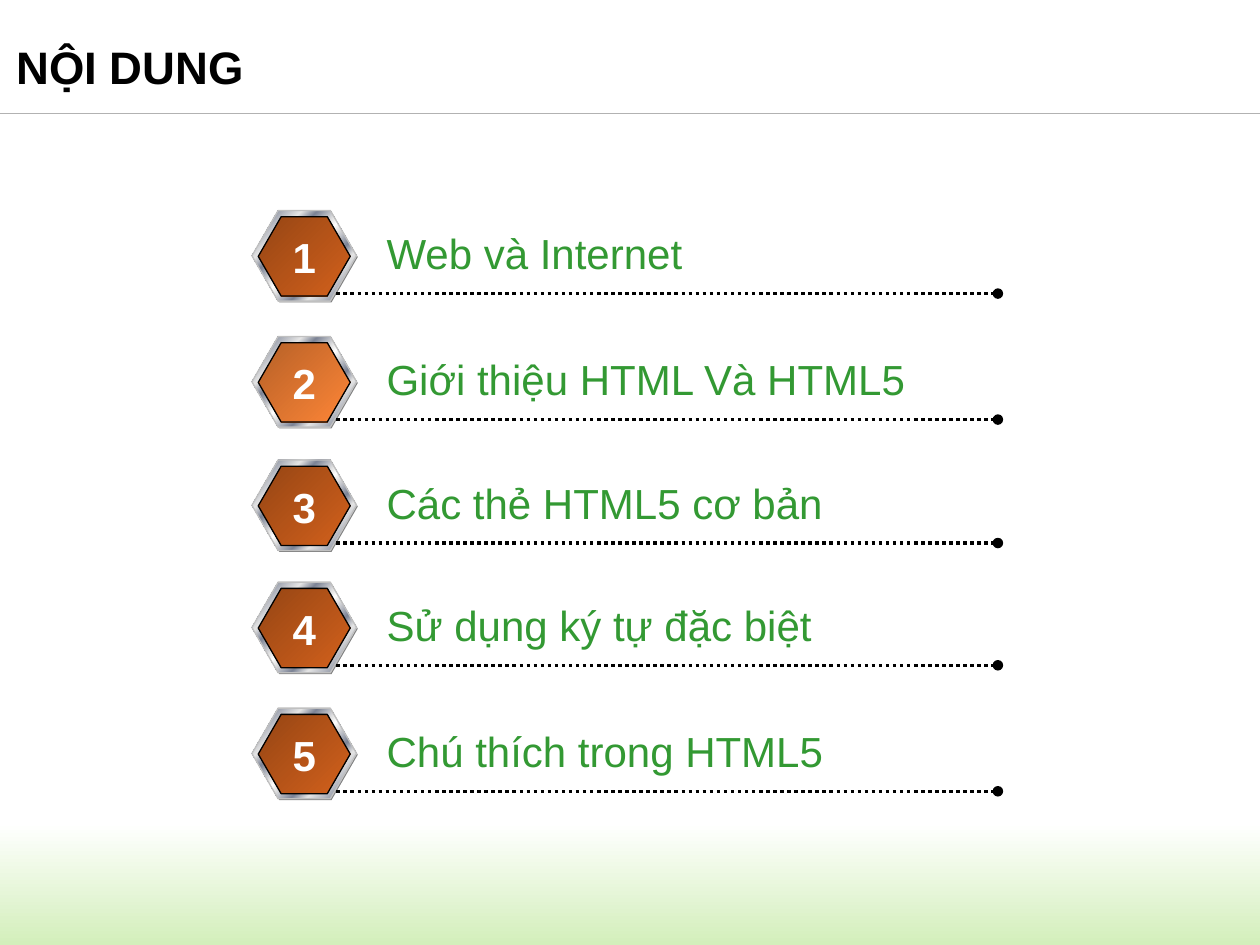
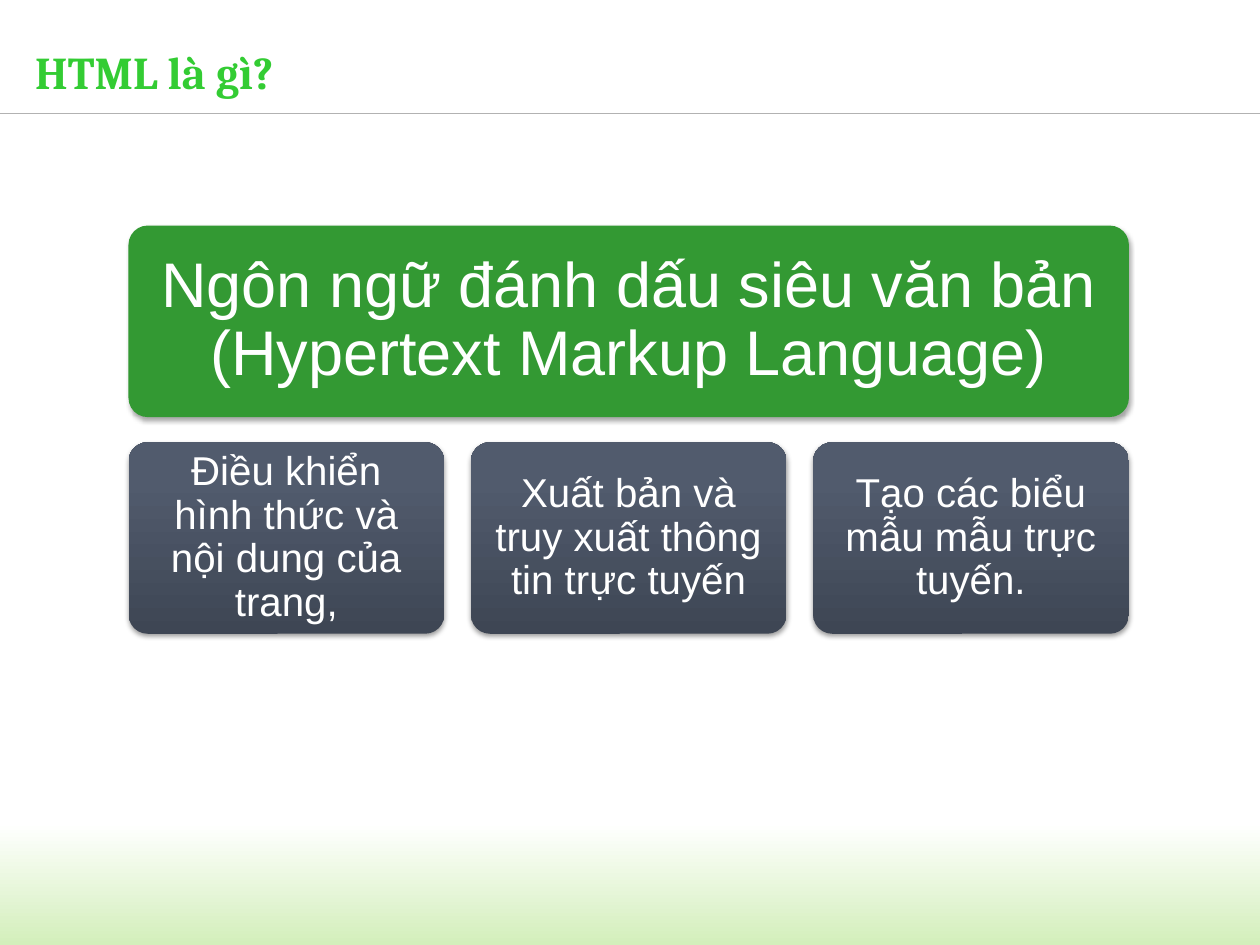
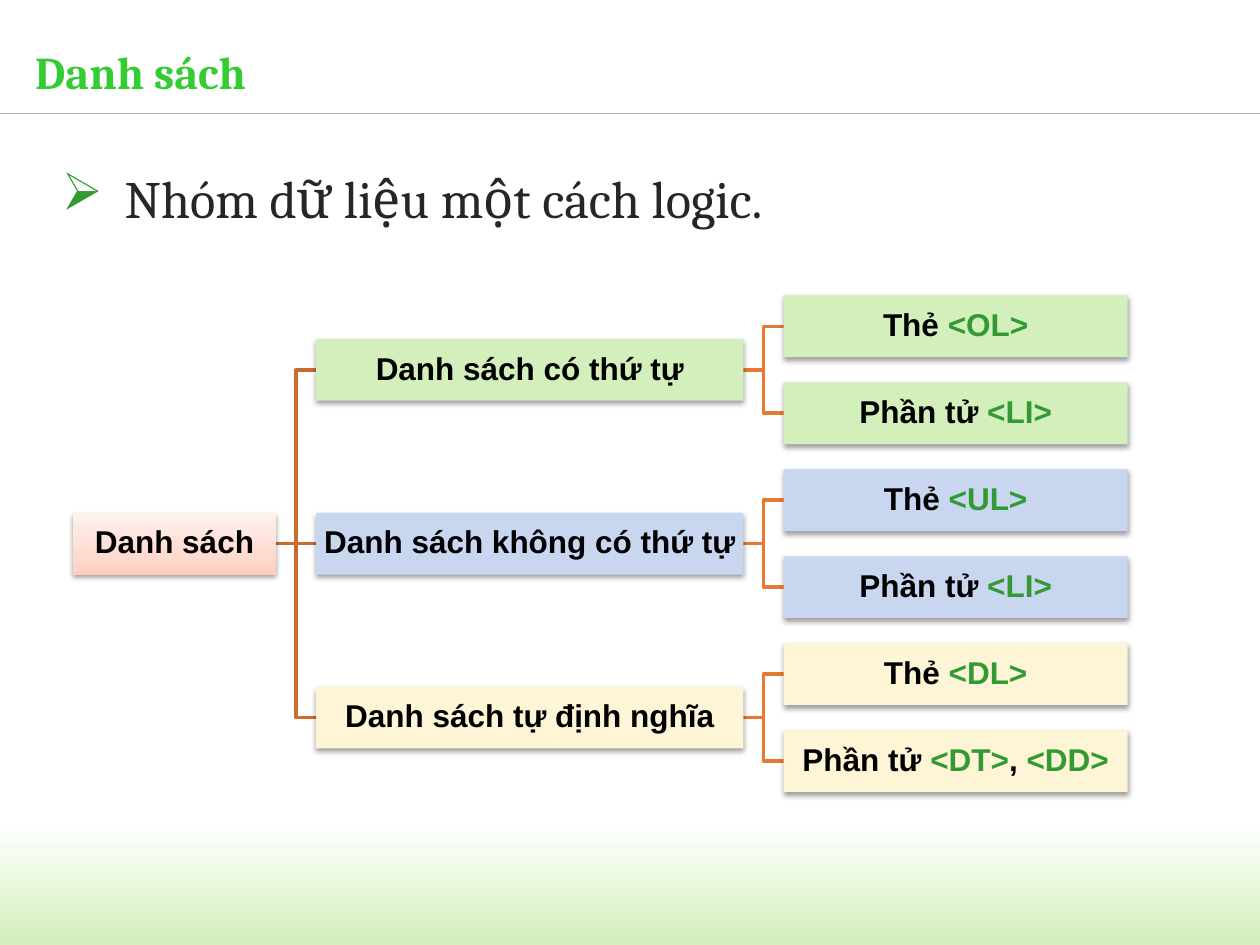
from lxml import etree
from pptx import Presentation
from pptx.dml.color import RGBColor
from pptx.enum.dml import MSO_LINE
from pptx.enum.shapes import MSO_CONNECTOR, MSO_SHAPE
from pptx.enum.text import MSO_ANCHOR, PP_ALIGN
from pptx.oxml.ns import qn
from pptx.util import Inches, Pt

RECT, ROUNDED, HEXAGON = MSO_SHAPE.RECTANGLE, MSO_SHAPE.ROUNDED_RECTANGLE, MSO_SHAPE.HEXAGON
STRAIGHT = MSO_CONNECTOR.STRAIGHT
LEFT, CENTER = PP_ALIGN.LEFT, PP_ALIGN.CENTER
TOP, MIDDLE = MSO_ANCHOR.TOP, MSO_ANCHOR.MIDDLE
DOTTED = MSO_LINE.ROUND_DOT

WHITE = RGBColor(0xFF, 0xFF, 0xFF)
BLACK = RGBColor(0, 0, 0)
INK = RGBColor(0x26, 0x26, 0x26)
GREEN = RGBColor(0x33, 0x99, 0x33)
TITLE_GREEN = RGBColor(0x33, 0xCC, 0x33)
PALE_GREEN = RGBColor(0xD3, 0xEF, 0xBB)
PALE_BLUE = RGBColor(0xC8, 0xD6, 0xF0)
PALE_YELLOW = RGBColor(0xFD, 0xF5, 0xD5)
RULE_GRAY = RGBColor(0xB2, 0xB2, 0xB2)
BADGE_SHADE = RGBColor(0x80, 0x80, 0x80)
SILVER = RGBColor(0xC0, 0xC0, 0xC0)
STEEL_LIGHT = RGBColor(0xE6, 0xE6, 0xE6)
STEEL_DARK = RGBColor(0x7D, 0x84, 0x96)
TRUNK = RGBColor(0xCB, 0x6B, 0x2C)
TWIG = RGBColor(0xE7, 0x7A, 0x32)

# Gradients: angle in degrees, then (position in percent, colour)
BAND_FILL = (90, [(0, WHITE), (100, PALE_GREEN)])
STEEL_FILL = (45, [(0, STEEL_LIGHT), (8, STEEL_DARK), (26, STEEL_LIGHT), (34, STEEL_DARK),
                   (46, STEEL_LIGHT), (50, WHITE), (54, STEEL_LIGHT), (66, STEEL_DARK),
                   (74, STEEL_LIGHT), (92, STEEL_DARK), (100, STEEL_LIGHT)])
BROWN_FILL = (45, [(0, RGBColor(0x96, 0x45, 0x14)), (100, RGBColor(0xD2, 0x61, 0x1C))])
ORANGE_FILL = (45, [(0, RGBColor(0xB6, 0x60, 0x27)), (100, RGBColor(0xFE, 0x86, 0x37))])
SLATE_FILL = (270, [(0, RGBColor(0x3E, 0x46, 0x54)), (80, RGBColor(0x51, 0x5B, 0x6D)),
                    (100, RGBColor(0x51, 0x5B, 0x6E))])
PINK_FILL = (270, [(0, RGBColor(0xFF, 0xCE, 0xBF)), (35, RGBColor(0xFF, 0xDC, 0xD2)),
                   (100, RGBColor(0xFF, 0xF2, 0xEE))])


def child(parent, tag, **attrs):
    el = etree.SubElement(parent, qn(tag))
    for name, value in attrs.items():
        el.set(name, str(value))
    return el


def set_fill(sp, fill):
    """Fill with one colour, or with an (angle, stops) gradient."""
    if isinstance(fill, RGBColor):
        sp.fill.solid()
        sp.fill.fore_color.rgb = fill
        return
    angle, stops = fill
    sp.fill.gradient()
    grad = sp._element.spPr.find(qn("a:gradFill"))
    grad.find(qn("a:lin")).set("ang", str(angle * 60000))
    gs_list = grad.find(qn("a:gsLst"))
    for gs in list(gs_list):
        gs_list.remove(gs)
    for pos, color in stops:
        child(child(gs_list, "a:gs", pos=pos * 1000), "a:srgbClr", val=color)


def add_shadow(sp, alpha, dist):
    effects = sp._element.spPr.find(qn("a:effectLst"))
    shadow = child(effects, "a:outerShdw", blurRad=Pt(3.1), dist=Pt(dist),
                   dir=90 * 60000, rotWithShape=0)
    child(child(shadow, "a:srgbClr", val=BLACK), "a:alpha", val=alpha * 1000)


def add_box(shapes, kind, x, y, w, h, fill, line=None):
    sp = shapes.add_shape(kind, Inches(x), Inches(y), Inches(w), Inches(h))
    sp.shadow.inherit = False
    set_fill(sp, fill)
    if line is None:
        sp.line.fill.background()
    else:
        sp.line.color.rgb = line
        sp.line.width = Pt(0.75)
    return sp


def add_line(s, x1, y1, x2, y2, color, width):
    line = s.shapes.add_connector(STRAIGHT, Inches(x1), Inches(y1), Inches(x2), Inches(y2))
    line.line.color.rgb = color
    line.line.width = Pt(width)
    child(line._element.spPr, "a:effectLst")
    return line


def write(sp, runs, size, font="Arial", bold=False, align=LEFT, anchor=TOP,
          inset=(0.1, 0.05), spacing=None, wrap=True):
    """Write one paragraph of (text, colour) runs into a shape."""
    tf = sp.text_frame
    tf.word_wrap = wrap
    tf.vertical_anchor = anchor
    tf.margin_left = tf.margin_right = Inches(inset[0])
    tf.margin_top = tf.margin_bottom = Inches(inset[1])
    p = tf.paragraphs[0]
    p.alignment = align
    if spacing:
        p.line_spacing = spacing
    for text, color in runs:
        r = p.add_run()
        r.text = text
        r.font.size = Pt(size)
        r.font.name = font
        r.font.bold = bold
        r.font.color.rgb = color
    return p


def add_text(s, x, y, w, h, runs, size, **style):
    sp = s.shapes.add_textbox(Inches(x), Inches(y), Inches(w), Inches(h))
    return write(sp, runs, size, **style)


def new_slide(prs):
    """Add a slide with the shared bottom band and the rule under the title."""
    s = prs.slides.add_slide(prs.slide_layouts[6])
    add_box(s.shapes, RECT, 0, 6.53, 10, 0.97, BAND_FILL)
    add_line(s, 0, 0.9, 10, 0.9, RULE_GRAY, 0.75)
    return s


def add_topic_title(s, text):
    add_text(s, 0.28, 0.25, 9.37, 0.64, [(text, TITLE_GREEN)], 26, font="Cambria",
             bold=True, anchor=MIDDLE, inset=(0, 0))


def add_badge(s, x, y, number, face_fill):
    shapes = s.shapes.add_group_shape().shapes
    layers = [(0.01, 0.01, 0.83, 0.72, BADGE_SHADE, None),
              (0, 0, 0.83, 0.72, STEEL_FILL, SILVER),
              (0.05, 0.05, 0.73, 0.63, face_fill, BLACK)]
    for dx, dy, w, h, fill, line in layers:
        sp = add_box(shapes, HEXAGON, x + dx, y + dy, w, h, fill, line)
        sp.adjustments[0] = 0.289
    add_text(s, x + 0.22, y + 0.12, 0.39, 0.5, [(str(number), WHITE)], 24,
             bold=True, align=CENTER, wrap=False)


def add_agenda_row(s, x, y, number, label, label_width, face_fill):
    add_badge(s, x, y, number, face_fill)
    dots = add_line(s, x + 0.67, y + 0.66, x + 5.92, y + 0.66, BLACK, 2)
    dots.line.dash_style = DOTTED
    child(dots.line._get_or_add_ln(), "a:tailEnd", type="oval")
    add_text(s, x + 0.97, y + 0.09, label_width, 0.5, [(label, GREEN)], 24, wrap=False)


def agenda_slide(prs):
    s = new_slide(prs)
    add_text(s, 0.13, 0.31, 8.57, 0.71, [("NỘI DUNG", BLACK)], 26, bold=True,
             inset=(0, 0.05), spacing=0.9)
    rows = [(1.67, "Web và Internet", 2.57, BROWN_FILL),
            (2.67, "Giới thiệu HTML Và HTML5", 4.36, ORANGE_FILL),
            (3.65, "Các thẻ HTML5 cơ bản", 3.7, BROWN_FILL),
            (4.62, "Sử dụng ký tự đặc biệt", 3.61, BROWN_FILL),
            (5.62, "Chú thích trong HTML5", 3.7, BROWN_FILL)]
    for number, (y, label, width, fill) in enumerate(rows, 1):
        add_agenda_row(s, 2, y, number, label, width, fill)


def add_panel(s, x, y, w, text, size, inset, fill, alpha, dist):
    sp = add_box(s.shapes, ROUNDED, x, y, w, 1.52, fill)
    sp.adjustments[0] = 0.1
    add_shadow(sp, alpha, dist)
    write(sp, [(text, WHITE)], size, align=CENTER, anchor=MIDDLE,
          inset=(inset, inset), spacing=0.9)


def definition_slide(prs):
    s = new_slide(prs)
    add_topic_title(s, "HTML là gì?")
    x, y, w, gap = 1.02, 1.79, 7.94, 0.21
    add_panel(s, x, y, w, "Ngôn ngữ đánh dấu siêu văn bản (Hypertext Markup Language)",
              36, 0.15, GREEN, 35, 1.8)
    uses = ["Điều khiển hình thức và nội dung của trang,",
            "Xuất bản và truy xuất thông tin trực tuyến",
            "Tạo các biểu mẫu mẫu trực tuyến."]
    use_width = (w - gap * (len(uses) - 1)) / len(uses)
    for i, text in enumerate(uses):
        add_panel(s, x + i * (use_width + gap), y + 1.72, use_width, text,
                  23, 0.1, SLATE_FILL, 38, 1.6)


NODE_HEIGHT = 0.49


def add_node(s, x, y, w, runs, fill):
    """Add a tree box centred vertically on y."""
    sp = add_box(s.shapes, RECT, x, y - NODE_HEIGHT / 2, w, NODE_HEIGHT, fill)
    add_shadow(sp, 38, 1.6)
    write(sp, runs, 18, bold=True, align=CENTER, anchor=MIDDLE,
          inset=(0.01, 0.01), spacing=0.9)


def add_link(s, x1, y1, x2, y2, color):
    """Join two tree boxes with a line that bends halfway."""
    if abs(y1 - y2) < 0.01:
        add_line(s, x1, y1, x2, y1, color, 2)
        return
    mid = (x1 + x2) / 2
    start, *rest = [(Inches(x), Inches(y))
                    for x, y in ((x1, y1), (mid, y1), (mid, y2), (x2, y2))]
    builder = s.shapes.build_freeform(*start)
    builder.add_line_segments(rest, close=False)
    sp = builder.convert_to_shape()
    sp.shadow.inherit = False
    sp.fill.background()
    sp.line.color.rgb = color
    sp.line.width = Pt(2)


def add_list_tree(s, x, y, branches):
    """Draw the tree; y is the centre of the first leaf."""
    root_width, branch_width, leaf_width = 1.61, 3.39, 2.73
    gap, pitch = 0.32, 0.69
    branch_x = x + root_width + gap
    leaf_x = branch_x + branch_width + gap
    leaf_count = sum(len(leaves) for _, _, leaves in branches)
    root_y = y + pitch * (leaf_count - 1) / 2
    for label, fill, leaves in branches:
        branch_y = y + pitch * (len(leaves) - 1) / 2
        add_link(s, x + root_width, root_y, branch_x, branch_y, TRUNK)
        for runs in leaves:
            add_link(s, branch_x + branch_width, branch_y, leaf_x, y, TWIG)
            add_node(s, leaf_x, y, leaf_width, runs, fill)
            y += pitch
        add_node(s, branch_x, branch_y, branch_width, [(label, BLACK)], fill)
    add_node(s, x, root_y, root_width, [("Danh sách", BLACK)], PINK_FILL)


def lists_slide(prs):
    s = new_slide(prs)
    p = add_text(s, 0.49, 1.32, 9.03, 5.03, [("Nhóm dữ liệu một cách logic.", INK)], 30,
                 font="Cambria", inset=(0, 0))
    p_pr = p._p.get_or_add_pPr()
    p_pr.set("marL", str(Inches(0.5)))
    p_pr.set("indent", str(Inches(-0.5)))
    child(child(p_pr, "a:buClr"), "a:srgbClr", val=GREEN)
    child(p_pr, "a:buChar", char="➢")
    add_topic_title(s, "Danh sách")

    tag, item = ("Thẻ ", BLACK), ("Phần tử ", BLACK)
    li = [item, ("<LI>", GREEN)]
    add_list_tree(s, 0.58, 2.59, [
        ("Danh sách có thứ tự", PALE_GREEN, [[tag, ("<OL>", GREEN)], li]),
        ("Danh sách không có thứ tự", PALE_BLUE, [[tag, ("<UL>", GREEN)], li]),
        ("Danh sách tự định nghĩa", PALE_YELLOW,
         [[tag, ("<DL>", GREEN)],
          [item, ("<DT>", GREEN), (", ", BLACK), ("<DD>", GREEN)]]),
    ])


def main():
    prs = Presentation()
    prs.slide_width, prs.slide_height = Inches(10), Inches(7.5)
    agenda_slide(prs)
    definition_slide(prs)
    lists_slide(prs)
    prs.save("out.pptx")


if __name__ == "__main__":
    main()
